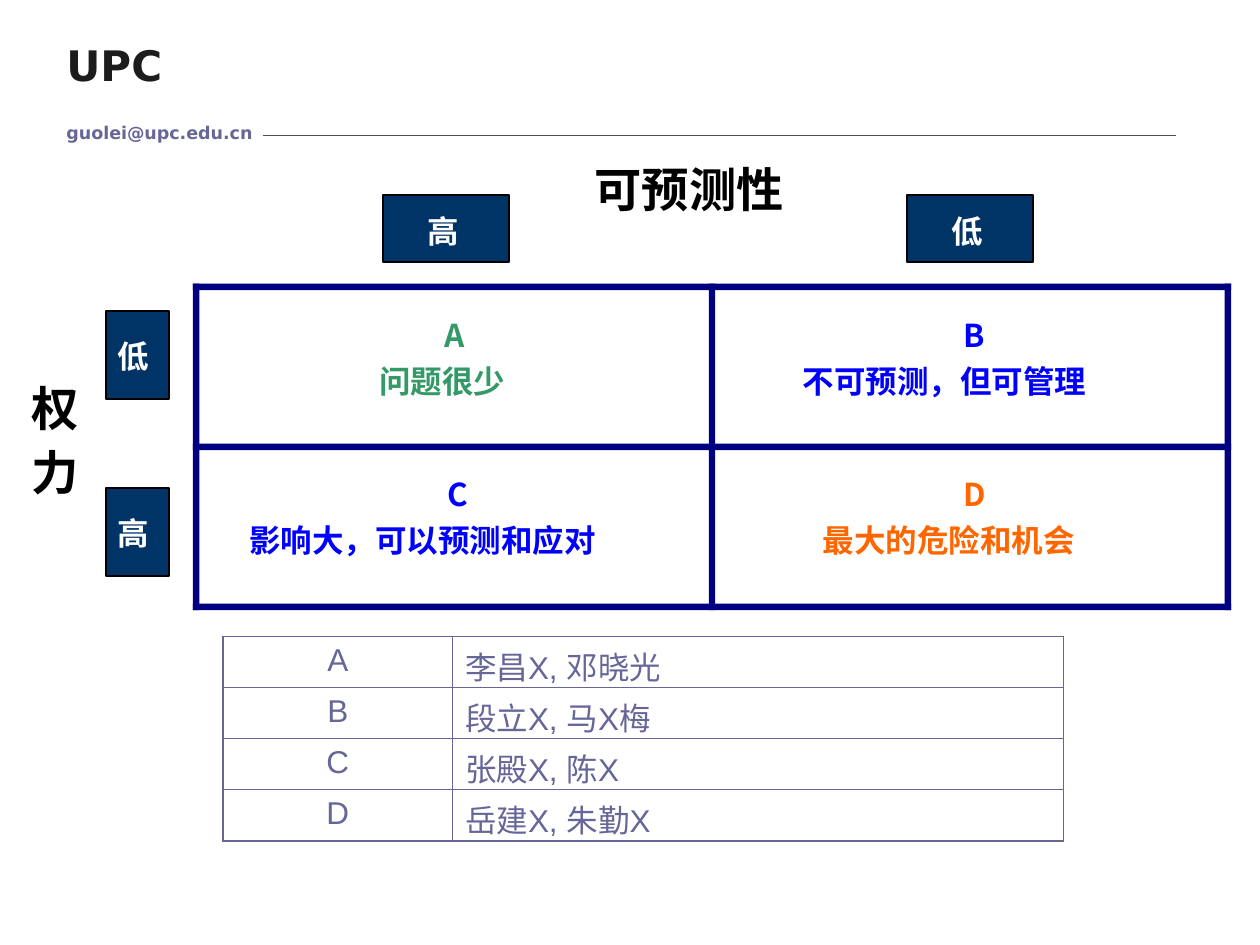
from lxml import etree
from pptx import Presentation
from pptx import util as u
from pptx.dml.color import RGBColor
from pptx.enum import shapes, text
from pptx.oxml import ns

CJK = "Noto Sans CJK SC"
NAVY, BLUE, SLATE = "000080", "0000FF", "666699"


def colour(hex_code):
    return RGBColor.from_string(hex_code)


def style(paragraph, size, font, hex_code, bold=True):
    for run in paragraph.runs:
        run.font.size, run.font.bold, run.font.name = u.Pt(size), bold, font
        run.font.color.rgb = colour(hex_code)
        if font == CJK:
            east_asian = etree.SubElement(run.font._element, ns.qn("a:ea"))
            east_asian.set("typeface", font)


def set_insets(frame, left, top):
    frame.margin_left, frame.margin_top = u.Cm(left), u.Cm(top)
    frame.margin_right = frame.margin_bottom = 0


def add_text(slide, box, words, size, font, hex_code, insets=(0, 0)):
    label = slide.shapes.add_textbox(*map(u.Cm, box))
    frame = label.text_frame
    frame.word_wrap = False
    set_insets(frame, *insets)
    frame.text = words
    style(frame.paragraphs[0], size, font, hex_code)


def add_block(slide, box, fill):
    block = slide.shapes.add_shape(shapes.MSO_SHAPE.RECTANGLE, *map(u.Cm, box))
    block.shadow.inherit = False
    block.fill.solid()
    block.fill.fore_color.rgb = colour(fill)
    block.line.fill.background()
    return block


def add_heading(slide, box, words, insets):
    heading = add_block(slide, box, "003366")
    heading.line.color.rgb = colour("000000")
    heading.line.width = u.Pt(1.13)
    frame = heading.text_frame
    frame.word_wrap = False
    frame.vertical_anchor = text.MSO_ANCHOR.TOP
    set_insets(frame, *insets)
    frame.text = words
    frame.paragraphs[0].alignment = text.PP_ALIGN.LEFT
    style(frame.paragraphs[0], 18, CJK, "FFFFFF")


def page_header(slide, box):
    left, top, width, height = box
    insets = (0.25, 0.13)
    add_text(slide, (left, top, 3.2, 1.27), "UPC", 24, "DejaVu Sans", "1C1C1C", insets)
    add_text(slide, (left, top + 1.68, 6.22, 0.89), "guolei@upc.edu.cn", 10,
             "DejaVu Sans", SLATE, insets)
    y = u.Cm(top + height)
    rule = slide.shapes.add_connector(shapes.MSO_CONNECTOR.STRAIGHT,
                                      u.Cm(left + 4.22), y, u.Cm(left + width), y)
    rule.line.color.rgb = colour("4D4D4D")
    rule.line.width = u.Pt(0.25)
    etree.SubElement(rule._element.spPr, ns.qn("a:effectLst"))


def power_matrix(slide, box):
    left, top, width, height = box
    bar = 0.13

    # Grid bars
    for i in range(3):
        x = left + i * (width - bar) / 2
        y = top + i * (height - bar) / 2
        add_block(slide, (x, top, bar, height), NAVY)
        add_block(slide, (left, y, width, bar), NAVY)

    # Row and column headings
    for y, level in ((0.55, "低"), (4.11, "高")):
        add_heading(slide, (left - 1.76, top + y, 1.27, 1.78), level, (0.23, 0.53))
    for x, level in ((3.83, "高"), (14.4, "低")):
        add_heading(slide, (left + x, top - 1.78, 2.54, 1.35), level, (0.89, 0.33))

    # Axis titles
    for x, y, title_width, title in ((-3.25, 1.93, 1.55, "权"), (-3.25, 3.22, 1.55, "力"),
                                     (8.1, -2.49, 5.08, "可预测性")):
        add_text(slide, (left + x, top + y, title_width, 1.57), title, 27, CJK, "000000")

    # Quadrants: row, letter and its offset, meaning with its offset and width
    quadrants = (
        (0, "A", 5.08, "问题很少", 3.76, 3.61, "339966"),
        (0, "B", 15.54, "不可预测，但可管理", 12.29, 7.59, BLUE),
        (1, "C", 5.13, "影响大，可以预测和应对", 1.14, 9.19, BLUE),
        (1, "D", 15.54, "最大的危险和机会", 12.7, 6.81, "FF6600"),
    )
    for row, letter, letter_x, meaning, meaning_x, meaning_width, hue in quadrants:
        y = top + 0.66 + row * 3.2
        add_text(slide, (left + letter_x, y, 0.81, 0.91), letter, 18, CJK, hue)
        add_text(slide, (left + meaning_x, y + 0.92, meaning_width, 0.91),
                 meaning, 18, CJK, hue)


def add_borders(cell):
    properties = cell._tc.get_or_add_tcPr()
    for position, side in enumerate(("lnL", "lnR", "lnT", "lnB")):
        border = etree.Element(ns.qn(f"a:{side}"), w=str(u.Pt(1)))
        fill = etree.SubElement(border, ns.qn("a:solidFill"))
        etree.SubElement(fill, ns.qn("a:srgbClr"), val=SLATE)
        properties.insert(position, border)


def people_table(slide, box):
    people = (("A", "李昌X, 邓晓光"), ("B", "段立X, 马X梅"),
              ("C", "张殿X, 陈X"), ("D", "岳建X, 朱勤X"))
    table = slide.shapes.add_table(len(people), 2, *map(u.Cm, box)).table
    table.first_row = table.horz_banding = False
    table.columns[0].width, table.columns[1].width = u.Cm(4.62), u.Cm(box[2] - 4.62)
    for r, entry in enumerate(people):
        table.rows[r].height = u.Cm(box[3] / len(people))
        for c, words in enumerate(entry):
            cell = table.cell(r, c)
            cell.fill.background()
            cell.margin_bottom = 0
            add_borders(cell)
            cell.text = words
            paragraph = cell.text_frame.paragraphs[0]
            paragraph.alignment = text.PP_ALIGN.LEFT if c else text.PP_ALIGN.CENTER
            style(paragraph, 18, "Arial", SLATE, bold=False)


def main():
    deck = Presentation()
    deck.slide_width, deck.slide_height = u.Cm(25.4), u.Cm(19.05)
    slide = deck.slides.add_slide(deck.slide_layouts[6])
    page_header(slide, (1.09, 0.66, 22.61, 2.06))
    power_matrix(slide, (3.89, 5.72, 20.93, 6.58))
    people_table(slide, (4.5, 12.83, 16.94, 4.12))
    deck.save("out.pptx")


if __name__ == "__main__":
    main()
